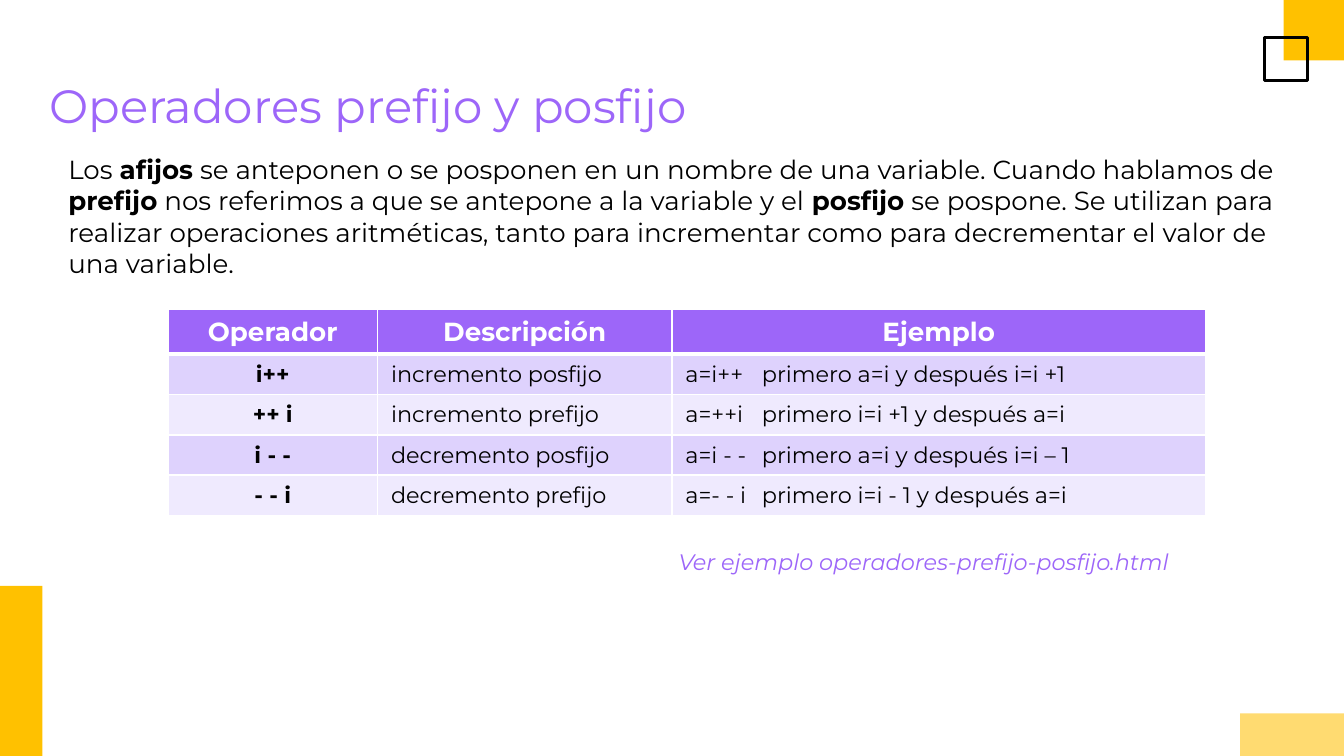
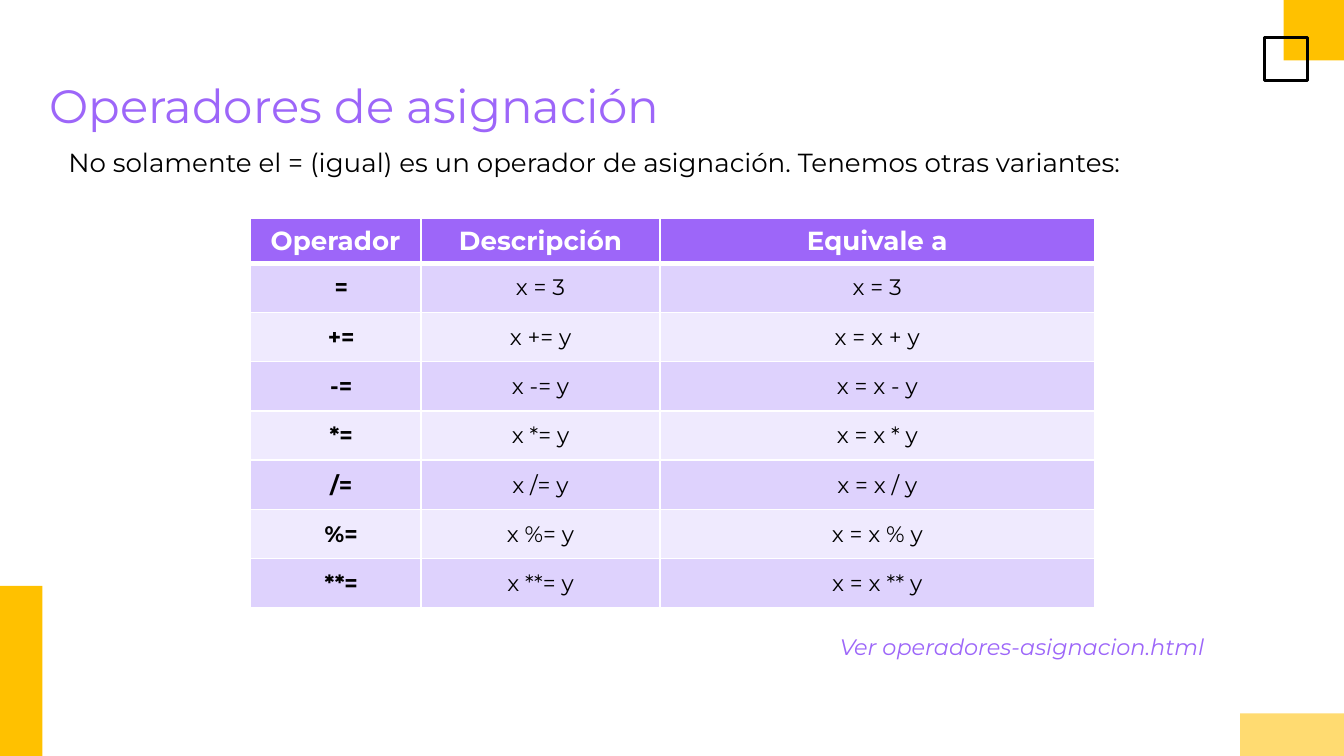
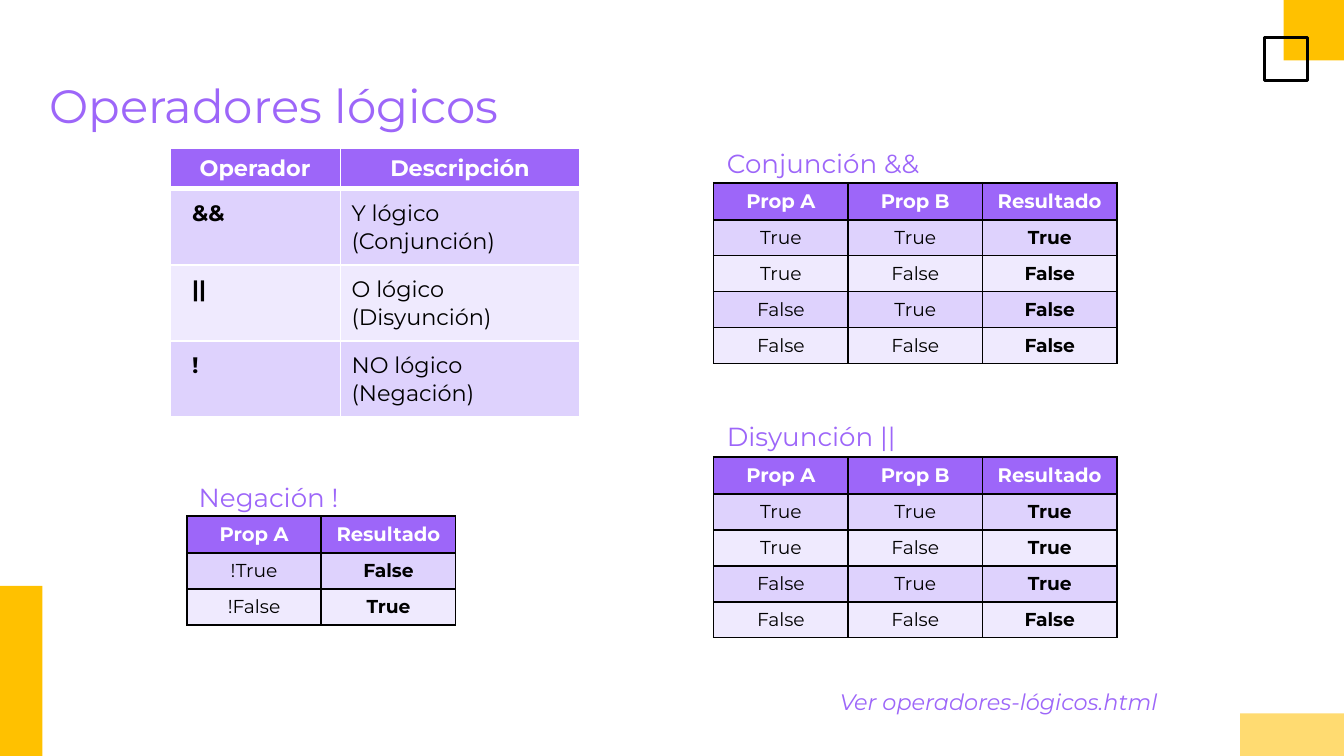
from lxml.etree import SubElement
from pptx import Presentation
from pptx.dml.color import RGBColor
from pptx.enum.shapes import MSO_SHAPE
from pptx.enum.text import MSO_ANCHOR, MSO_AUTO_SIZE, PP_ALIGN
from pptx.oxml.ns import qn
from pptx.util import Pt

FONT = "Montserrat"
PURPLE = RGBColor(0x9D, 0x66, 0xF9)
LILAC = RGBColor(0xDE, 0xD2, 0xFD)
PALE_LILAC = RGBColor(0xEF, 0xEA, 0xFE)
AMBER = RGBColor(0xFF, 0xC1, 0x00)
LIGHT_AMBER = RGBColor(0xFF, 0xDB, 0x71)
BLACK = RGBColor(0, 0, 0)
WHITE = RGBColor(0xFF, 0xFF, 0xFF)
LEFT, CENTER = PP_ALIGN.LEFT, PP_ALIGN.CENTER
TIGHT = (7.2, 3.6, 7.2, 3.6)
ROOMY = (6, 6, 6, 6)
INDENTED = (12, 6, 6, 6)
EXAMPLE_TAB = 41


def fill_text(frame, runs, size, color, margins, align=LEFT, italic=False):
    frame.word_wrap = True
    frame.margin_left, frame.margin_top, frame.margin_right, frame.margin_bottom = map(Pt, margins)
    paragraph = frame.paragraphs[0]
    paragraph.alignment = align
    for text, bold in runs:
        run = paragraph.add_run()
        run.text = text
        run.font.name = FONT
        run.font.size = Pt(size)
        run.font.bold = bold
        run.font.italic = italic
        run.font.color.rgb = color


def add_grid(slide, left, top, widths, heights, rows, sizes, aligns, bold_column, margins, border):
    frame = slide.shapes.add_table(len(rows), len(widths), Pt(left), Pt(top),
                                   Pt(sum(widths)), Pt(heights[0] + heights[1] * (len(rows) - 1)))
    table = frame.table
    table.horz_banding = False
    for column, width in zip(table.columns, widths):
        column.width = Pt(width)
    for r, texts in enumerate(rows):
        header = r == 0
        table.rows[r].height = Pt(heights[0] if header else heights[1])
        for c, text in enumerate(texts):
            cell = table.cell(r, c)
            cell.fill.solid()
            cell.fill.fore_color.rgb = PURPLE if header else LILAC if r % 2 else PALE_LILAC
            inset = TIGHT if header else margins[c]
            fill_text(cell.text_frame, [(text, header or c == bold_column)],
                      sizes[0] if header else sizes[1], WHITE if header else BLACK,
                      inset, CENTER if header else aligns[c])
            cell.margin_left, cell.margin_top, cell.margin_right, cell.margin_bottom = map(Pt, inset)
            if "\t" in text:
                tabs = SubElement(cell.text_frame.paragraphs[0]._p.get_or_add_pPr(), qn("a:tabLst"))
                SubElement(tabs, qn("a:tab"), pos=str(Pt(EXAMPLE_TAB)), algn="l")
            properties = cell._tc.get_or_add_tcPr()
            for position, side in enumerate(("lnL", "lnR", "lnT", "lnB")):
                under_header = (r, side) in ((0, "lnB"), (1, "lnT"))
                weight = 3 if under_header and border == WHITE else 1
                line = properties.makeelement(qn("a:" + side), {"w": str(Pt(weight))})
                solid = SubElement(line, qn("a:solidFill"))
                SubElement(solid, qn("a:srgbClr"), val=str(border))
                properties.insert(position, line)


presentation = Presentation()
presentation.slide_width = Pt(720)
presentation.slide_height = Pt(405)
layout = presentation.slide_layouts[5]

titles = ["Operadores prefijo y posfijo", "Operadores de asignación", "Operadores lógicos"]
slides = []
for title_text in titles:
    slide = presentation.slides.add_slide(layout)
    title = slide.shapes.title
    title.left, title.top, title.width, title.height = Pt(19.4), Pt(33.8), Pt(682), Pt(45.4)
    title.text_frame.auto_size = MSO_AUTO_SIZE.NONE
    title.text_frame.vertical_anchor = MSO_ANCHOR.TOP
    fill_text(title.text_frame, [(title_text, False)], 25, PURPLE, (7.2,) * 4)
    slides.append(slide)
affixes, assignment, logic = slides

decorations = [
    (687.6, 0, 32.4, 32.4, AMBER),
    (0, 313.9, 22.7, 91.1, AMBER),
    (677.5, 20, 23, 23, None),
    (664.3, 382.2, 55.7, 22.8, LIGHT_AMBER),
]
for position, (left, top, width, height, color) in enumerate(decorations):
    shape = affixes.shapes.add_shape(MSO_SHAPE.RECTANGLE, Pt(left), Pt(top), Pt(width), Pt(height))
    shape.shadow.inherit = False
    if color:
        shape.fill.solid()
        shape.fill.fore_color.rgb = color
        shape.line.fill.background()
    else:
        shape.fill.background()
        shape.line.color.rgb = BLACK
        shape.line.width = Pt(1.5)
    layout.shapes._spTree.insert(2 + position, shape._element)

affix_intro = [
    ("Los ", False),
    ("afijos", True),
    (" se anteponen o se posponen en un nombre de una variable. Cuando hablamos de ", False),
    ("prefijo", True),
    (" nos referimos a que se antepone a la variable y el ", False),
    ("posfijo", True),
    (" se pospone. Se utilizan para realizar operaciones aritméticas, tanto para incrementar "
     "como para decrementar el valor de una variable.", False),
]
assignment_intro = [
    ("No solamente el = (igual) es un operador de asignación. Tenemos otras variantes:", False),
]
text_boxes = [
    (affixes, 29.5, 74.9, 666, 80, affix_intro, 14, BLACK, False),
    (affixes, 356.4, 286.6, 288.7, 33, [("Ver ejemplo operadores-prefijo-posfijo.html", False)], 12, PURPLE, True),
    (assignment, 29.5, 71.3, 590.4, 30.2, assignment_intro, 14, BLACK, False),
    (assignment, 442.8, 331.9, 229.7, 33, [("Ver operadores-asignacion.html", False)], 12, PURPLE, True),
    (logic, 442.8, 361.4, 229.7, 33, [("Ver operadores-lógicos.html", False)], 12, PURPLE, True),
    (logic, 382.3, 72, 126.7, 26.6, [("Conjunción &&", False)], 14, PURPLE, False),
    (logic, 382.3, 218.2, 126.7, 26.6, [("Disyunción ||", False)], 14, PURPLE, False),
    (logic, 99.4, 250.6, 126.7, 26.6, [("Negación !", False)], 14, PURPLE, False),
]
for slide, left, top, width, height, runs, size, color, italic in text_boxes:
    box = slide.shapes.add_textbox(Pt(left), Pt(top), Pt(width), Pt(height))
    fill_text(box.text_frame, runs, size, color, (7.2,) * 4, italic=italic)

affix_rows = [
    ("Operador", "Descripción", "Ejemplo"),
    ("i++", "incremento posfijo", "a=i++\tprimero a=i y después i=i +1"),
    ("++ i", "incremento prefijo", "a=++i\tprimero i=i +1 y después a=i"),
    ("i - -", "decremento posfijo", "a=i - -\tprimero a=i y después i=i – 1"),
    ("- - i", "decremento prefijo", "a=- - i\tprimero i=i - 1 y después a=i"),
]
add_grid(affixes, 90, 165.6, (112.3, 157.7, 285.8), (21.6, 21.6), affix_rows, (14, 12),
         (CENTER, LEFT, LEFT), 0, (TIGHT,) * 3, WHITE)

assignment_rows = [("Operador", "Descripción", "Equivale a"), ("=", "x = 3", "x = 3")]
for operator in ("+", "-", "*", "/", "%", "**"):
    assignment_rows.append((f"{operator}=", f"x {operator}= y", f"x = x {operator} y"))
add_grid(assignment, 134.1, 116.9, (91.4, 128.2, 232.6), (21.6, 21.6), assignment_rows, (14, 12),
         (CENTER,) * 3, 0, (INDENTED, ROOMY, ROOMY), WHITE)

logic_rows = [
    ("Operador", "Descripción"),
    ("&&", "Y lógico (Conjunción)"),
    ("||", "O lógico (Disyunción)"),
    ("!", "NO lógico (Negación)"),
]
add_grid(logic, 91, 79.5, (91.4, 128.2), (21.6, 21.6), logic_rows, (12, 12),
         (LEFT, LEFT), 0, (INDENTED, ROOMY), WHITE)

conjunction_rows = [("Prop A", "Prop B", "Resultado")]
disjunction_rows = conjunction_rows[:]
for a in (True, False):
    for b in (True, False):
        conjunction_rows.append((str(a), str(b), str(a and b)))
        disjunction_rows.append((str(a), str(b), str(a or b)))
negation_rows = [("Prop A", "Resultado"), ("!True", "False"), ("!False", "True")]
truth_tables = [
    (382.3, 97.9, conjunction_rows),
    (382.3, 244.8, disjunction_rows),
    (100.1, 276.5, negation_rows),
]
for left, top, rows in truth_tables:
    columns = len(rows[0])
    add_grid(logic, left, top, (72,) * columns, (19.6, 19), rows, (10.5, 10),
             (CENTER,) * columns, columns - 1, (TIGHT,) * columns, BLACK)

presentation.save("out.pptx")
